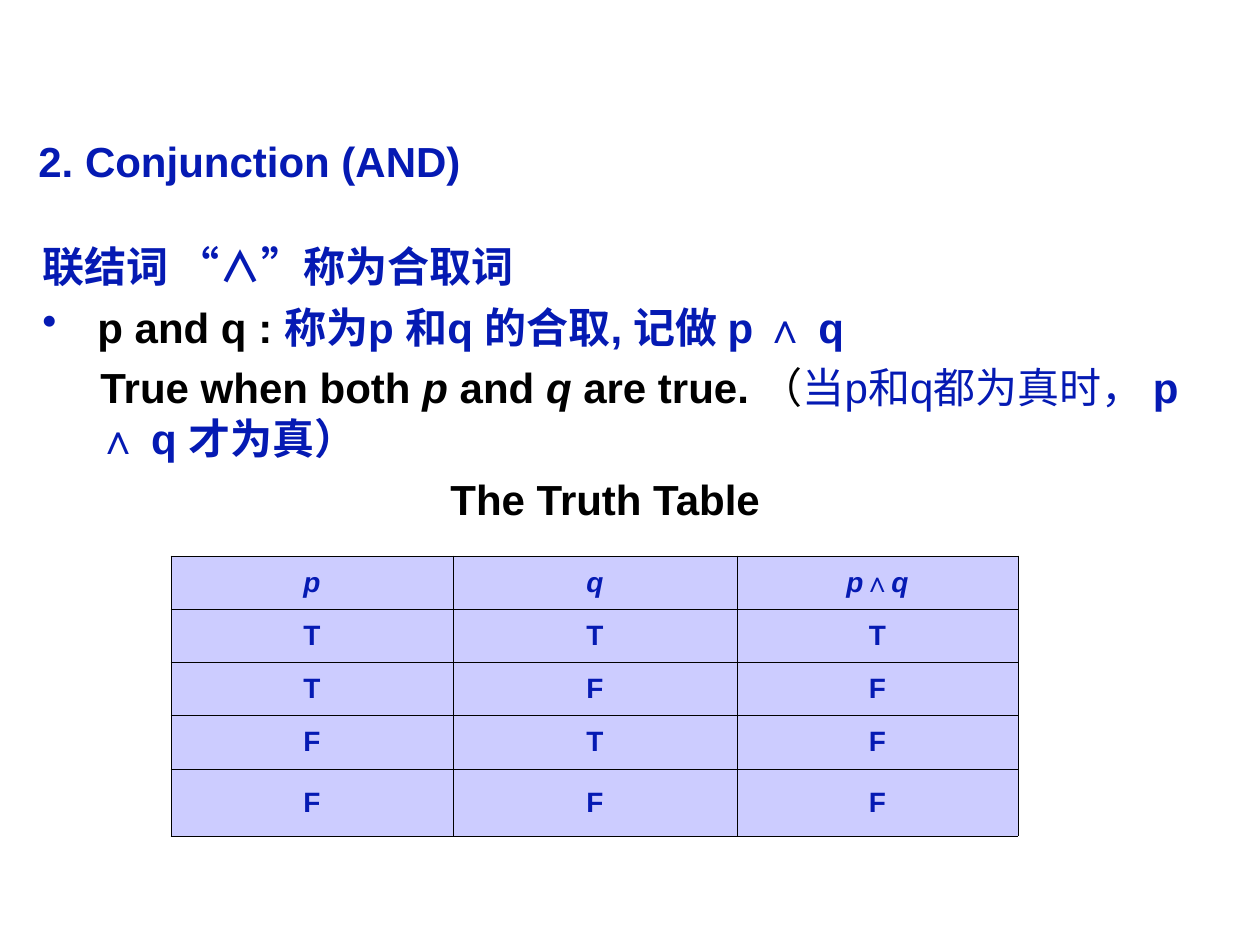
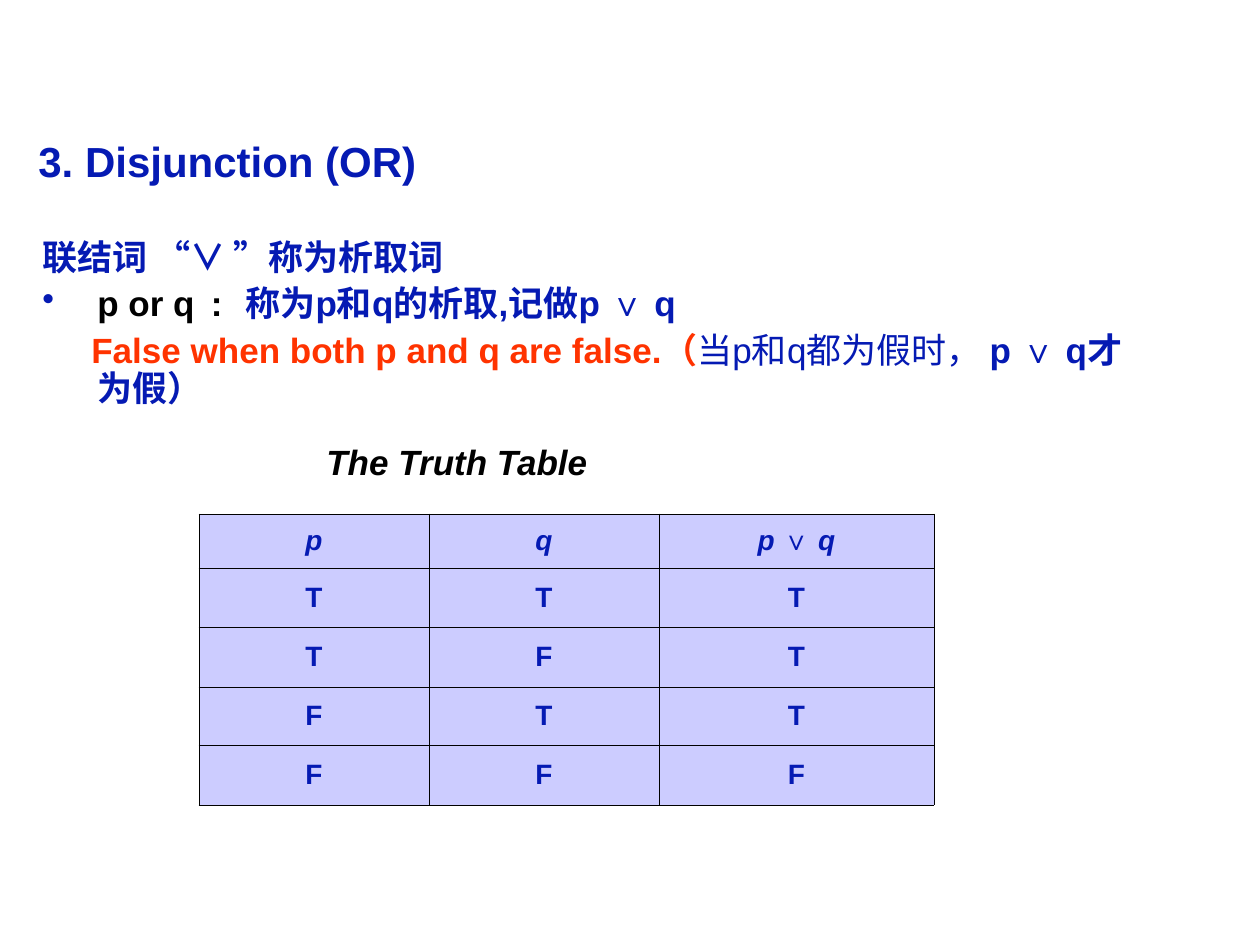
from dataclasses import dataclass
from itertools import product

from lxml import etree
from pptx import Presentation
from pptx import util as u
from pptx.dml.color import RGBColor
from pptx.enum import text
from pptx.oxml import ns

PX_PER_INCH = 126


@dataclass(frozen=True)
class Theme:
    font: str = "Arial"
    blue: str = "051AB3"
    black: str = "000000"
    red: str = "FF3300"
    cell: str = "CCCCFF"
    title_size: int = 24
    table_size: int = 16
    border: float = 0.45
    hanging: int = 55


THEME = Theme()


@dataclass(frozen=True)
class Words:
    content: str
    color: str = THEME.blue
    bold: bool = True
    italic: bool = False
    tracking: int = 0


@dataclass(frozen=True)
class Line:
    words: tuple
    first: int = -THEME.hanging
    bullet: bool = False
    before: int = 0
    after: int = 0


def px(length):
    return u.Emu(round(length * 914400 / PX_PER_INCH))


def add_words(paragraph, words, size):
    run = paragraph.add_run()
    run.text = words.content
    font = run.font
    font.name, font.size = THEME.font, u.Pt(size)
    font.bold, font.italic = words.bold, words.italic
    font.color.rgb = RGBColor.from_string(words.color)
    if words.tracking:
        run._r.get_or_add_rPr().set("spc", str(words.tracking))


def add_bullet(paragraph):
    properties = paragraph._p.get_or_add_pPr()
    color = etree.SubElement(properties, ns.qn("a:buClr"))
    etree.SubElement(color, ns.qn("a:srgbClr"), val=THEME.blue)
    etree.SubElement(properties, ns.qn("a:buChar"), char="•")


def add_frame(slide, box):
    frame = slide.shapes.add_textbox(*map(px, box)).text_frame
    frame.word_wrap = True
    return frame


def add_title(slide, box, title):
    frame = add_frame(slide, box)
    frame.vertical_anchor = text.MSO_ANCHOR.MIDDLE
    heading = frame.paragraphs[0]
    heading.line_spacing = 0.9
    add_words(heading, Words(title), THEME.title_size)


def add_definition(slide, box, lines, size, spacing):
    frame = add_frame(slide, box)
    for index, line in enumerate(lines):
        paragraph = frame.add_paragraph() if index else frame.paragraphs[0]
        paragraph.line_spacing = spacing
        paragraph.space_before = u.Pt(line.before)
        paragraph.space_after = u.Pt(line.after)
        properties = paragraph._p.get_or_add_pPr()
        properties.set("marL", str(px(THEME.hanging)))
        properties.set("indent", str(px(line.first)))
        if line.bullet:
            add_bullet(paragraph)
        for words in line.words:
            add_words(paragraph, words, size)


def style_cell(cell):
    cell.fill.solid()
    cell.fill.fore_color.rgb = RGBColor.from_string(THEME.cell)
    cell.vertical_anchor = text.MSO_ANCHOR.MIDDLE
    properties = cell._tc.get_or_add_tcPr()
    for index, side in enumerate(("lnL", "lnR", "lnT", "lnB")):
        edge = etree.Element(ns.qn(f"a:{side}"), w=str(u.Pt(THEME.border)))
        fill = etree.SubElement(edge, ns.qn("a:solidFill"))
        etree.SubElement(fill, ns.qn("a:srgbClr"), val=THEME.black)
        properties.insert(index, edge)


def add_truth_table(slide, corner, widths, heights, formula, connective):
    box = (*corner, sum(widths), sum(heights))
    table = slide.shapes.add_table(
        len(heights), len(widths), *map(px, box)).table
    table.first_row = table.horz_banding = False
    for column, width in zip(table.columns, widths):
        column.width = px(width)
    for row, height in zip(table.rows, heights):
        row.height = px(height)

    rows = [(("p",), ("q",), formula)]
    for values in product((True, False), repeat=2):
        rows.append([("T" if value else "F",)
                     for value in (*values, connective(values))])
    for row, contents in zip(table.rows, rows):
        for cell, parts in zip(row.cells, contents):
            style_cell(cell)
            paragraph = cell.text_frame.paragraphs[0]
            paragraph.alignment = text.PP_ALIGN.CENTER
            paragraph.space_after = u.Pt(4)
            for part in parts:
                add_words(paragraph,
                          Words(part, italic=part.strip() in ("p", "q")),
                          THEME.table_size)


def add_connective_slide(deck, title, definition, truth_table):
    slide = deck.slides.add_slide(deck.slide_layouts[6])
    add_title(slide, (26, 110, 1206, 108), title)
    add_definition(slide, **definition)
    add_truth_table(slide, **truth_table)


def conjunction():
    black = THEME.black
    lines = (
        Line((Words("联结词 “∧”称为合取词"),), after=6),
        Line((Words("p and q : ", black),
              Words("称为p 和q 的合取, 记做 p ∧ q")), bullet=True, after=6),
        Line((Words("True when both ", black),
              Words("p ", black, italic=True),
              Words("and ", black),
              Words("q ", black, italic=True),
              Words("are true. ", black),
              Words("（", black, bold=False),
              Words("当p和q都为真时， ", bold=False),
              Words("p ∧ q 才为真）")), first=3, after=6),
        Line((Words("The Truth Table", black),), first=353, after=6),
    )
    return dict(
        title="2. Conjunction (AND)",
        definition=dict(box=(30, 234, 1177, 301), lines=lines,
                        size=24, spacing=1.0),
        truth_table=dict(corner=(171, 556), widths=(282, 284, 281),
                         heights=(53, 53, 53, 54, 67),
                         formula=("p", "∧", "q"), connective=all))


def disjunction():
    black, red = THEME.black, THEME.red
    lines = (
        Line((Words("联结词 “∨ ”称为析取词"),), after=5),
        Line((Words("p or q", black),
              Words(" : ", black, tracking=370),
              Words("称为p和q的析取,记做p ∨ q")), bullet=True, after=5),
        Line((Words("False when both p and q are false.（", red),
              Words("当p和q都为假时， ", bold=False),
              Words("p ∨ q才为假）")), first=-6),
        Line((Words("The Truth Table", black, italic=True),),
             first=229, before=21),
    )
    return dict(
        title="3. Disjunction (OR)",
        definition=dict(box=(30, 234, 1135, 260), lines=lines,
                        size=20, spacing=0.9),
        truth_table=dict(corner=(199, 514), widths=(230, 230, 275),
                         heights=(54, 59, 60, 58, 60),
                         formula=("p ", "∨ ", "q"), connective=any))


def main():
    deck = Presentation()
    deck.slide_width, deck.slide_height = px(1260), px(945)
    for content in (conjunction(), disjunction()):
        add_connective_slide(deck, **content)
    deck.save("out.pptx")


if __name__ == "__main__":
    main()
